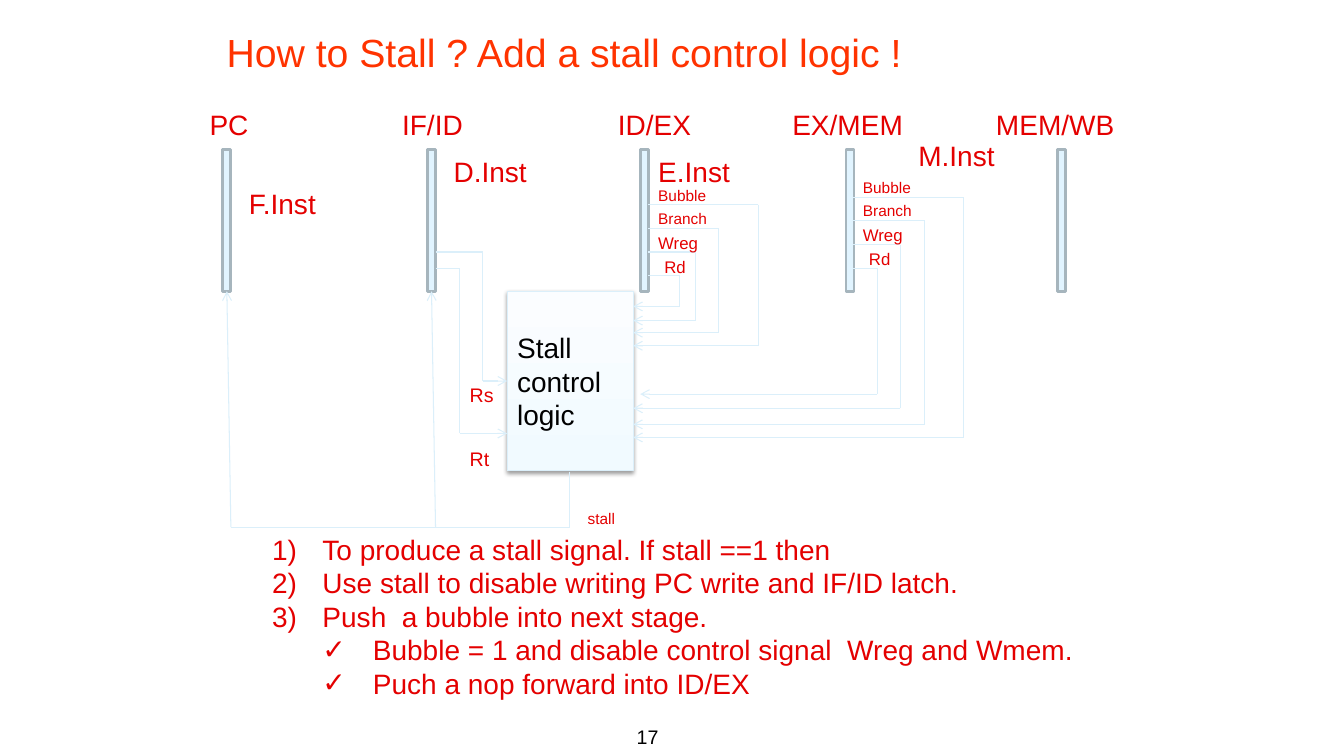
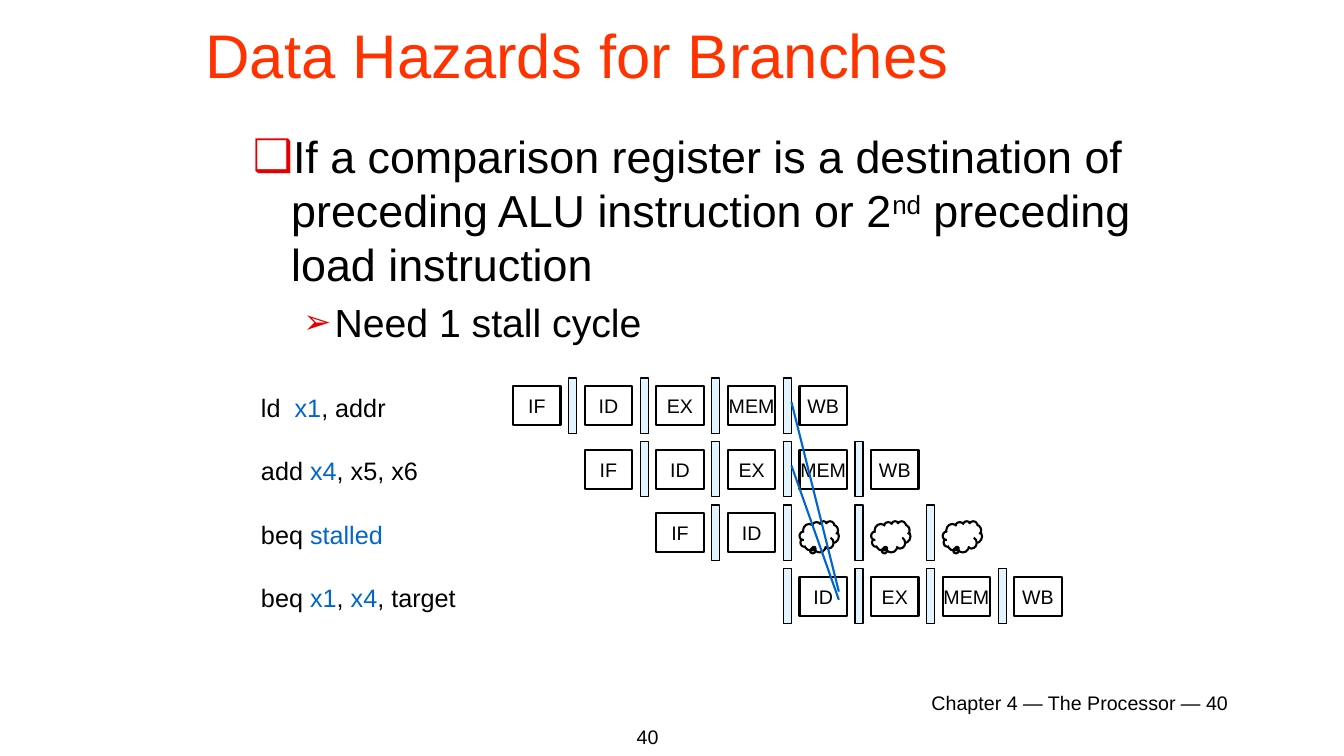
"""Build two slides about pipeline stalls and branch data hazards."""
from itertools import cycle, pairwise

from pptx import Presentation
from pptx.dml.color import RGBColor
from pptx.enum.shapes import MSO_CONNECTOR, MSO_SHAPE
from pptx.enum.text import MSO_ANCHOR as ANCHOR, PP_ALIGN as ALIGN
from pptx.oxml.ns import qn
from pptx.oxml.xmlchemy import OxmlElement
from pptx.util import Inches, Pt

FONT = "Arial"
BLACK = RGBColor(0x00, 0x00, 0x00)
ORANGE = RGBColor(0xFF, 0x33, 0x00)
RED = RGBColor(0xE4, 0x00, 0x00)
BLUE = RGBColor(0x00, 0x66, 0xCC)
LATCH = RGBColor(0xE1, 0xF4, 0xFF)
LATCH_EDGE = RGBColor(0xA6, 0xB5, 0xBD)
WIRE = RGBColor(0xDB, 0xEF, 0xFA)
BOX_LOW = RGBColor(0xF1, 0xFA, 0xFF)
BOX_HIGH = RGBColor(0xFB, 0xFD, 0xFF)

COL_X, COL_STEP = 5.09, 0.71
ROW_Y, ROW_STEP = 3.83, 0.63


def add_xml(parent, tag, **attrs):
    el = OxmlElement(tag)
    for name, value in attrs.items():
        el.set(name, str(value))
    parent.append(el)
    return el


def write(p, text, size=14, color=BLACK, align=ALIGN.LEFT, raised=False):
    p.alignment = align
    r = p.add_run()
    r.text = text
    r.font.name = FONT
    r.font.size = Pt(size)
    r.font.color.rgb = color
    if raised:
        r.font._element.set("baseline", "30000")


def add_text(s, x, y, w, h, text="", anchor=ANCHOR.TOP, wrap=True, **fmt):
    tf = s.shapes.add_textbox(Inches(x), Inches(y), Inches(w), Inches(h)).text_frame
    tf.word_wrap = wrap
    tf.vertical_anchor = anchor
    if text:
        write(tf.paragraphs[0], text, **fmt)
    return tf


def add_bullet(p, left, hang, char=None, color=None, scale=None):
    pPr = p._p.get_or_add_pPr()
    pPr.set("marL", str(Inches(left)))
    pPr.set("indent", str(-Inches(hang)))
    if color:
        add_xml(add_xml(pPr, "a:buClr"), "a:srgbClr", val=color)
    if scale:
        add_xml(pPr, "a:buSzPct", val=scale * 1000)
    add_xml(pPr, "a:buFont", typeface=FONT)
    if char:
        add_xml(pPr, "a:buChar", char=char)
    else:
        add_xml(pPr, "a:buAutoNum", type="arabicParenR")


def add_box(s, x, y, w, h, line, width, fill=None, kind=MSO_SHAPE.RECTANGLE):
    sp = s.shapes.add_shape(kind, Inches(x), Inches(y), Inches(w), Inches(h))
    sp.shadow.inherit = False
    sp.line.color.rgb = line
    sp.line.width = Pt(width)
    if fill is None:
        sp.fill.background()
    else:
        sp.fill.solid()
        sp.fill.fore_color.rgb = fill
    return sp


def add_line(s, start, end, color, width, arrow=False):
    ends = [Inches(v) for v in (*start, *end)]
    c = s.shapes.add_connector(MSO_CONNECTOR.STRAIGHT, *ends)
    c.line.color.rgb = color
    c.line.width = Pt(width)
    if arrow:
        add_xml(c.line._get_or_add_ln(), "a:tailEnd", type="arrow")
    add_xml(c._element.spPr, "a:effectLst")


def add_wire(s, *points):
    for start, end in pairwise(points):
        add_line(s, start, end, WIRE, 0.75, arrow=end == points[-1])


def add_slide(prs, title, number, box, size):
    s = prs.slides.add_slide(prs.slide_layouts[6])
    add_text(s, 3.85, 7.14, 2.78, 0.35, number, align=ALIGN.RIGHT)
    add_text(s, *box, title, anchor=ANCHOR.MIDDLE, size=size, color=ORANGE)
    return s


def add_stall_logic(s):
    sp = add_box(s, 5.03, 2.89, 1.25, 1.78, WIRE, 0.75)
    sp.fill.gradient()
    sp.fill.gradient_angle = 90
    for stop, color in zip(sp.fill.gradient_stops, (BOX_LOW, BOX_HIGH)):
        stop.color.rgb = color
    effects = sp._element.spPr.find(qn("a:effectLst"))
    shadow = add_xml(effects, "a:outerShdw", blurRad=Pt(3.1), dist=Pt(1.6),
                     dir=5400000, rotWithShape=0)
    add_xml(add_xml(shadow, "a:srgbClr", val=BLACK), "a:alpha", val=38000)
    tf = sp.text_frame
    tf.word_wrap = True
    tf.vertical_anchor = ANCHOR.MIDDLE
    write(tf.paragraphs[0], "Stall control logic", size=20)


def add_wires(s):
    for y, x, end_y in [(2.5, 4.79, 3.78), (2.66, 4.56, 4.3)]:
        add_wire(s, (4.32, y), (x, y), (x, end_y), (5.03, end_y))
    signals = {
        6.43: [(2.03, 7.52, 3.43, 6.28), (2.27, 7.13, 3.3, 6.28),
               (2.5, 6.9, 3.18, 6.28), (2.73, 6.74, 3.04, 6.28)],
        8.46: [(1.96, 9.56, 4.34, 6.28), (2.19, 9.17, 4.21, 6.28),
               (2.43, 8.93, 4.05, 6.28), (2.66, 8.7, 3.91, 6.35)],
    }
    for start_x, routes in signals.items():
        for y, x, end_y, end_x in routes:
            add_wire(s, (start_x, y), (x, y), (x, end_y), (end_x, end_y))
    add_wire(s, (5.65, 4.68), (5.65, 5.23), (2.29, 5.23), (2.25, 2.89))
    add_wire(s, (4.32, 5.23), (4.28, 2.89))


def add_steps(s):
    tf = add_text(s, 2.6, 5.23, 9.06, 1.8)
    steps = [
        (0, "To produce a stall signal. If stall ==1 then"),
        (0, "Use stall to disable writing PC write and IF/ID latch."),
        (0, "Push  a bubble into next stage."),
        (1, "Bubble = 1 and disable control signal  Wreg and Wmem."),
        (1, "Puch a nop forward into ID/EX"),
    ]
    for i, (level, text) in enumerate(steps):
        p = tf.add_paragraph() if i else tf.paragraphs[0]
        p.level = level
        write(p, text, size=20, color=RED)
        add_bullet(p, 0.5 + 0.5 * level, 0.5, "✓" if level else None)


def build_stall_slide(prs):
    s = add_slide(prs, "How to Stall ? Add a stall control logic !", "17",
                  (2.15, 0.04, 8.56, 0.94), 28)
    for x in (2.21, 4.24, 6.35, 8.39, 10.49):
        add_box(s, x, 1.48, 0.08, 1.41, LATCH_EDGE, 2, LATCH)
    add_stall_logic(s)
    add_wires(s)
    labels = [
        (1.98, 1.02, "PC", 20), (3.89, 1.02, "IF/ID", 20),
        (6.03, 1.02, "ID/EX", 20), (7.76, 1.02, "EX/MEM", 20),
        (9.78, 1.02, "MEM/WB", 20),
        (2.37, 1.8, "F.Inst", 20), (4.4, 1.48, "D.Inst", 20),
        (6.43, 1.48, "E.Inst", 20), (9.01, 1.33, "M.Inst", 20),
        (4.56, 3.75, "Rs", 14), (4.56, 4.38, "Rt", 14),
        (5.73, 5, "stall", 11),
    ]
    for x, y in [(6.43, 1.8), (8.46, 1.72)]:
        labels += [(x, y, "Bubble", 11), (x, y + 0.23, "Branch", 11),
                   (x, y + 0.46, "Wreg", 12), (x + 0.06, y + 0.7, "Rd", 12)]
    for x, y, text, size in labels:
        add_text(s, x, y, 1.4, 0.3, text, wrap=False, size=size, color=RED)
    add_steps(s)


def add_hazard_points(s):
    tf = add_text(s, 2.41, 1.23, 9.05, 2.6)
    p = tf.paragraphs[0]
    p.space_before = Pt(6.4)
    write(p, "If a comparison register is a destination of preceding "
             "ALU instruction or 2", size=32)
    write(p, "nd", size=32, raised=True)
    write(p, " preceding load instruction", size=32)
    add_bullet(p, 0.38, 0.38, "❑", RED)
    p = tf.add_paragraph()
    p.level = 1
    p.space_before = Pt(5.6)
    write(p, "Need 1 stall cycle", size=28)
    add_bullet(p, 0.81, 0.31, "➢", RED, 85)


def add_stage(s, x, y, name):
    if name == "bubble":
        sp = add_box(s, x, y + 0.08, 0.39, 0.31, BLACK, 1.5,
                     kind=MSO_SHAPE.CLOUD_CALLOUT)
        sp.adjustments[0], sp.adjustments[1] = -0.13, 0.36
        return
    tf = add_box(s, x, y, 0.47, 0.39, BLACK, 1.5).text_frame
    tf.word_wrap = False
    tf.margin_left = tf.margin_right = 0
    tf.vertical_anchor = ANCHOR.MIDDLE
    write(tf.paragraphs[0], name, align=ALIGN.CENTER)


def build_hazard_slide(prs):
    s = add_slide(prs, "Data Hazards for Branches", "40",
                  (1.94, 0, 11.03, 1.07), 44)
    add_hazard_points(s)
    add_text(s, 9.14, 6.81, 3.35, 0.4, "Chapter 4 — The Processor — 40")
    rows = [
        (["ld  ", "x1", ", addr"], 0, ["IF", "ID", "EX", "MEM", "WB"]),
        (["add ", "x4", ", x5, x6"], 1, ["IF", "ID", "EX", "MEM", "WB"]),
        (["beq ", "stalled"], 2, ["IF", "ID"] + ["bubble"] * 3),
        (["beq ", "x1", ", ", "x4", ", target"], 4, ["ID", "EX", "MEM", "WB"]),
    ]
    for row, (code, first, stages) in enumerate(rows):
        y = ROW_Y + ROW_STEP * row
        p = add_text(s, 2.49, y + 0.01, 2.95, 0.4, wrap=False).paragraphs[0]
        for text, color in zip(code, cycle((BLACK, BLUE))):
            write(p, text, size=18, color=color)
        for col, name in enumerate(stages, first):
            add_stage(s, COL_X + COL_STEP * col, y, name)
        for col in range(row, row + 4):
            add_box(s, COL_X + COL_STEP * col + 0.55, y - 0.08, 0.08, 0.55,
                    BLACK, 0.75, LATCH)
    for start, end in [((7.85, 3.99), (8.32, 5.87)), ((7.85, 4.62), (8.32, 5.95))]:
        add_line(s, start, end, BLUE, 1.5)


def main():
    prs = Presentation()
    prs.slide_width, prs.slide_height = Inches(13.33), Inches(7.5)
    build_stall_slide(prs)
    build_hazard_slide(prs)
    prs.save("out.pptx")


if __name__ == "__main__":
    main()
